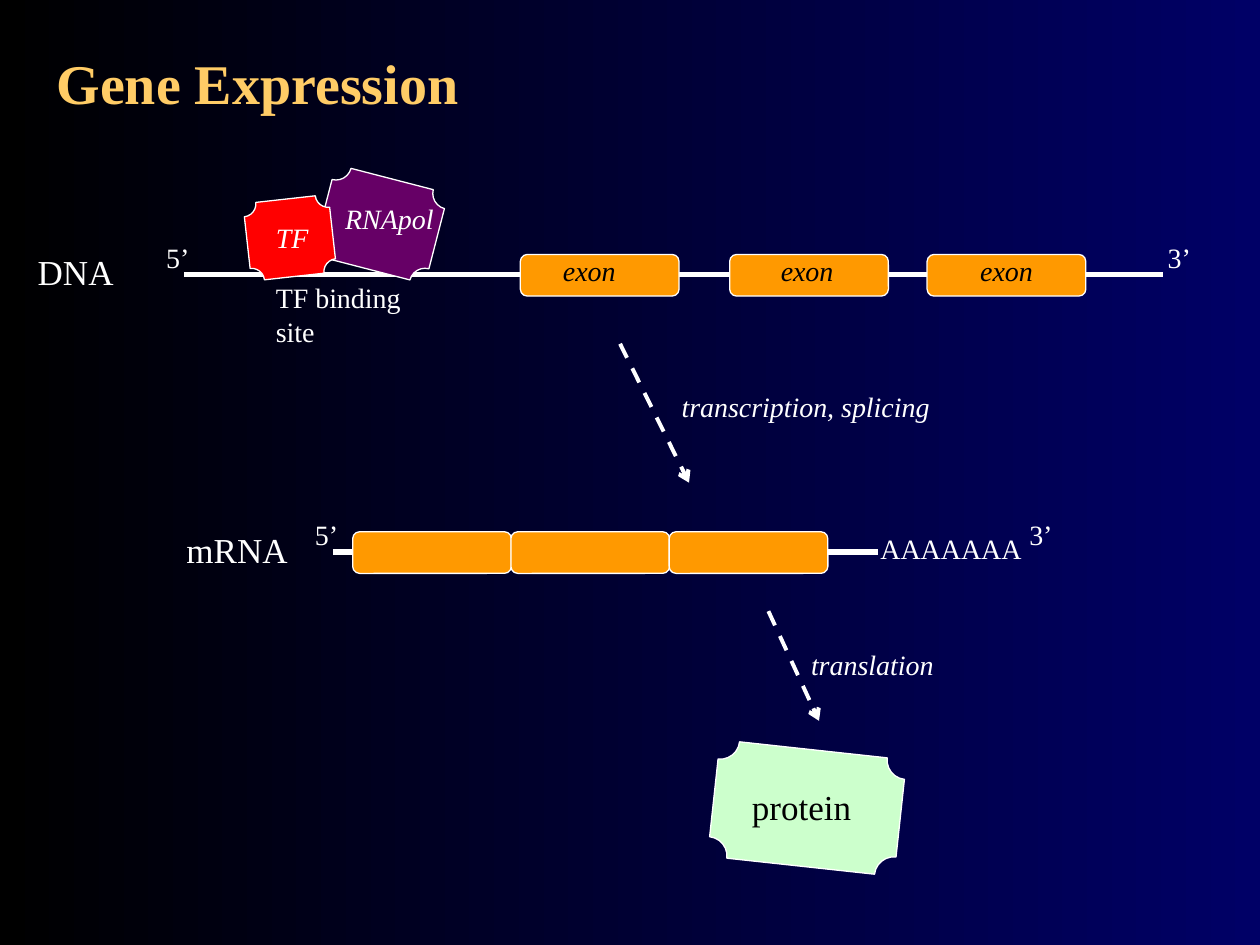
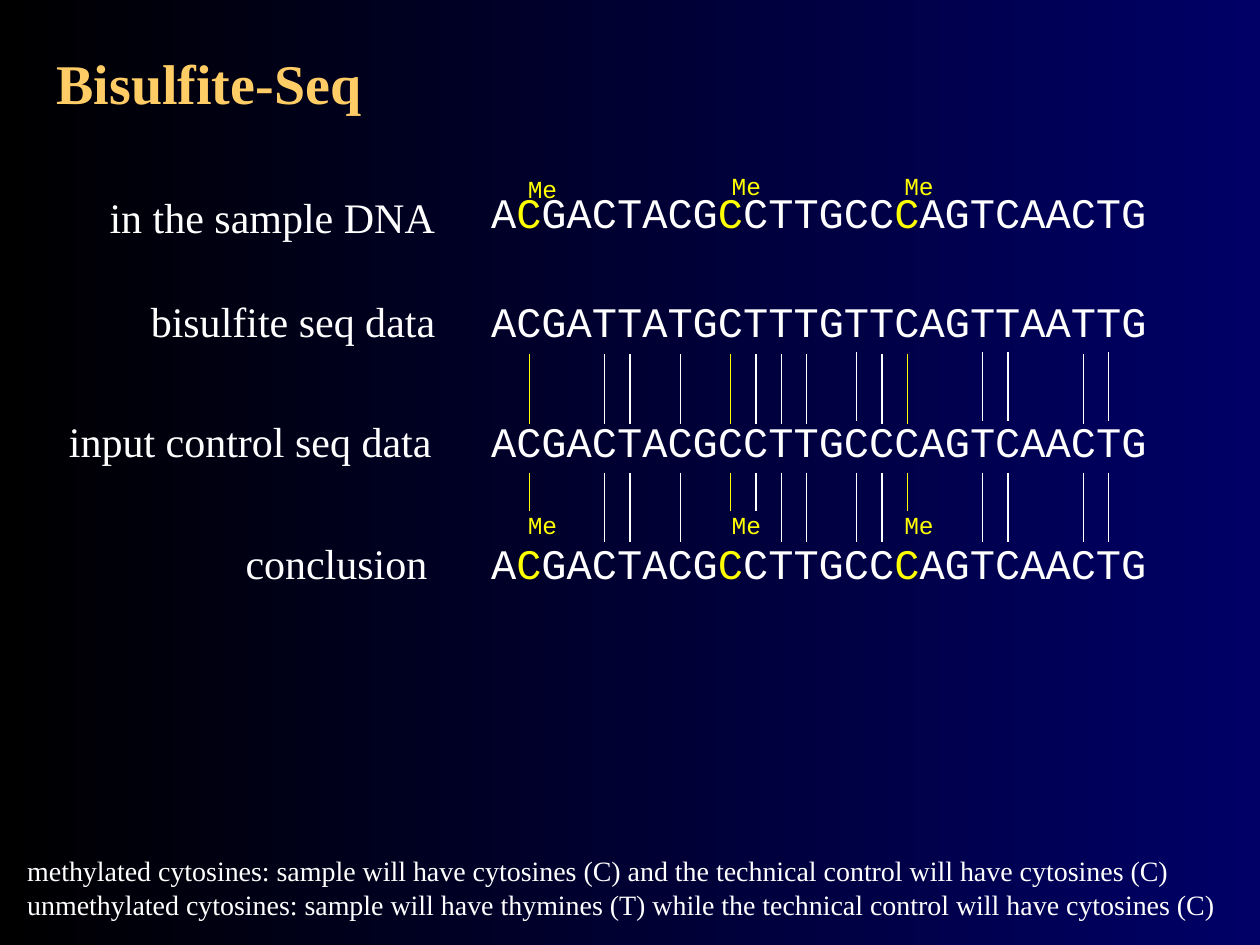
from itertools import groupby

from lxml import etree
from pptx import Presentation
from pptx.dml.color import RGBColor
from pptx.enum.dml import MSO_LINE
from pptx.enum.shapes import MSO_CONNECTOR, MSO_SHAPE
from pptx.enum.text import MSO_ANCHOR, MSO_AUTO_SIZE
from pptx.oxml.ns import qn
from pptx.util import Cm, Pt

STRAIGHT = MSO_CONNECTOR.STRAIGHT
ROUNDED = MSO_SHAPE.ROUNDED_RECTANGLE
PLAQUE = MSO_SHAPE.PLAQUE
DASH = MSO_LINE.DASH
MIDDLE = MSO_ANCHOR.MIDDLE
GROW = MSO_AUTO_SIZE.SHAPE_TO_FIT_TEXT
FIXED = MSO_AUTO_SIZE.NONE

BLACK = RGBColor(0x00, 0x00, 0x00)
WHITE = RGBColor(0xFF, 0xFF, 0xFF)
NAVY = RGBColor(0x00, 0x00, 0x66)
GOLD = RGBColor(0xFF, 0xCC, 0x66)
ORANGE = RGBColor(0xFF, 0x99, 0x00)
PALE_GREEN = RGBColor(0xCC, 0xFF, 0xCC)
PURPLE = RGBColor(0x66, 0x00, 0x66)
RED = RGBColor(0xFF, 0x00, 0x00)
YELLOW = RGBColor(0xFF, 0xFF, 0x00)

SERIF = "Times New Roman"
MONO = "Courier New"
TITLE = {"name": SERIF, "size": Pt(32), "bold": True}
MOLECULE = {"name": SERIF, "size": Pt(20)}
LABEL = {"name": SERIF, "size": Pt(16)}
ITALIC = {**LABEL, "italic": True}
ROW_NAME = {"name": SERIF, "size": Pt(24)}
BASES = {"name": MONO, "size": Pt(24)}
MARK = {"name": MONO, "size": Pt(14)}

EXON_WIDTH, EXON_HEIGHT = 3.2, 0.84

GENOME = "ACGACTACGCCTTGCCCAGTCAACTG"
CONVERTED = "ACGATTATGCTTTGTTCAGTTAATTG"
METHYLATED = (1, 9, 16)
COMPARED = (1, 4, 5, 7, 9, 10, 11, 12, 14, 15, 16, 19, 20, 23, 24)
RAISED = (14, 19, 20, 24)
SHORT = METHYLATED + (10,)
FIRST_BASE, BASE_PITCH = 10.16, 0.508


def add_text(slide, paragraphs, style, left, top, width, height,
             wrap=True, auto_size=GROW, anchor=None):
    """Add a text box whose paragraphs are lists of (text, colour) runs."""
    box = slide.shapes.add_textbox(Cm(left), Cm(top), Cm(width), Cm(height))
    frame = box.text_frame
    layout = {"word_wrap": wrap, "auto_size": auto_size, "vertical_anchor": anchor}
    for key, value in layout.items():
        setattr(frame, key, value)
    for number, runs in enumerate(paragraphs):
        paragraph = frame.add_paragraph() if number else frame.paragraphs[0]
        for text, color in runs:
            run = paragraph.add_run()
            run.text = text
            run.font.color.rgb = color
            for key, value in style.items():
                setattr(run.font, key, value)


def add_label(slide, text, style, left, top, width=3.4, color=WHITE, wrap=True):
    """Add a one-colour label sized for a single line."""
    height = style["size"].pt * 0.042 + 0.26
    add_text(slide, [[(text, color)]], style, left, top, width, height, wrap)


def add_body(slide, preset, color, left, top, width, height, rotation=0):
    """Add a filled shape with a thin white outline."""
    body = slide.shapes.add_shape(preset, Cm(left), Cm(top), Cm(width), Cm(height))
    body.shadow.inherit = False
    body.rotation = rotation
    body.fill.solid()
    body.fill.fore_color.rgb = color
    body.line.color.rgb = WHITE
    body.line.width = Pt(0.75)


def add_line(slide, start, end, color=WHITE, width=0.75):
    """Add a straight line without a shadow and return it."""
    line = slide.shapes.add_connector(STRAIGHT, *map(Cm, start + end))
    line.line.color.rgb = color
    line.line.width = Pt(width)
    etree.SubElement(line._element.spPr, qn("a:effectLst"))
    return line


def add_step_arrow(slide, start, end):
    """Add a dashed arrow from one molecule to the next."""
    arrow = add_line(slide, start, end, width=2.25)
    arrow.line.dash_style = DASH
    etree.SubElement(arrow.line._get_or_add_ln(), qn("a:tailEnd"), type="arrow")


def add_exon(slide, left, top):
    """Add one exon block."""
    add_body(slide, ROUNDED, ORANGE, left, top, EXON_WIDTH, EXON_HEIGHT)


def add_sequence(slide, bases, top, highlighted=()):
    """Add a row of bases with the highlighted positions in yellow."""
    runs = []
    for marked, group in groupby(enumerate(bases), lambda item: item[0] in highlighted):
        runs.append(("".join(base for _, base in group), YELLOW if marked else WHITE))
    add_text(slide, [runs], BASES, 9.65, top, 13.84, 1.27, wrap=False)


def add_ticks(slide, top, length, raised=(), short=()):
    """Add a line under every compared base."""
    for base in COMPARED:
        x = FIRST_BASE + BASE_PITCH * base
        start = top - 0.05 if base in raised else top
        end = top + 0.78 if base in short else start + length
        add_line(slide, (x, start), (x, end), YELLOW if base in METHYLATED else WHITE)


def new_slide(deck, title):
    """Add a blank slide with the shared background and title."""
    slide = deck.slides.add_slide(deck.slide_layouts[6])
    fill = slide.background.fill
    fill.gradient()
    fill.gradient_angle = 0
    for stop, color in zip(fill.gradient_stops, (BLACK, NAVY)):
        stop.color.rgb = color
    add_text(slide, [[(title, GOLD)]], TITLE, 0.89, -0.48, 23.8, 4.27,
             auto_size=FIXED, anchor=MIDDLE)
    return slide


def build_gene_expression(deck):
    """Draw the way from DNA through mRNA to protein."""
    slide = new_slide(deck, "Gene Expression")
    add_label(slide, "DNA", MOLECULE, 0.51, 4.93)
    add_label(slide, "mRNA", MOLECULE, 3.51, 10.52)
    add_line(slide, (3.71, 5.54), (23.44, 5.54), width=3)
    add_line(slide, (6.71, 11.13), (17.7, 11.13), width=3)
    add_label(slide, "AAAAAAA", LABEL, 17.5, 10.59, 5.79)

    for exon_left, name_left in ((10.49, 11.1), (14.71, 15.49), (18.69, 19.51)):
        add_exon(slide, exon_left, 5.13)
        add_label(slide, "exon", ITALIC, name_left, 4.98, color=BLACK)
    for number in range(3):
        add_exon(slide, 7.11 + number * 3.19, 10.72)

    add_body(slide, PLAQUE, PALE_GREEN, 14.38, 15.11, 3.78, 2.36, 6.2)
    add_label(slide, "protein", MOLECULE, 14.91, 15.72, color=BLACK)

    for strand_end, left, top in (("5’", 3.1, 4.72), ("3’", 23.29, 4.72),
                                  ("5’", 6.1, 10.31), ("3’", 20.5, 10.31)):
        add_label(slide, strand_end, LABEL, left, top, 1.19)

    add_body(slide, PLAQUE, PURPLE, 6.5, 3.58, 2.34, 1.88, 14.5)
    add_text(slide, [[("TF binding site", WHITE)]], LABEL, 5.31, 5.54, 3.2, 1.63)
    add_body(slide, PLAQUE, RED, 4.98, 4.01, 1.73, 1.57, 353.6)
    add_label(slide, "TF", ITALIC, 5.31, 4.32)
    add_label(slide, "RNApol", ITALIC, 6.71, 3.94)

    add_step_arrow(slide, (12.5, 6.93), (13.89, 9.73))
    add_step_arrow(slide, (15.49, 12.32), (16.51, 14.53))
    add_label(slide, "translation", ITALIC, 16.1, 12.93, 5.79)
    add_label(slide, "transcription, splicing", ITALIC, 13.49, 7.72, 5.79)


def build_bisulfite_seq(deck):
    """Compare the sequences read with and without bisulfite."""
    slide = new_slide(deck, "Bisulfite-Seq")
    add_sequence(slide, GENOME, 3.63, METHYLATED)
    add_sequence(slide, CONVERTED, 5.84)
    add_sequence(slide, GENOME, 8.26)
    add_sequence(slide, GENOME, 10.72, METHYLATED)

    for left, sample_top in ((10.39, 3.38), (14.5, 3.33), (17.98, 3.33)):
        for top in (sample_top, 10.16):
            add_label(slide, "Me", MARK, left, top, 1.12, YELLOW, wrap=False)

    for name, left, top, width in (("in the sample DNA", 1.96, 3.73, 7.14),
                                   ("bisulfite seq data", 2.79, 5.84, 6.43),
                                   ("input control seq data", 1.14, 8.26, 7.95),
                                   ("conclusion", 4.7, 10.72, 4.22)):
        add_label(slide, name, ROW_NAME, left, top, width, wrap=False)

    add_ticks(slide, 7.14, 1.4, raised=RAISED)
    add_ticks(slide, 9.53, 1.4, short=SHORT)

    rules = (
        "methylated cytosines: sample will have cytosines (C) "
        "and the technical control will have cytosines (C)",
        "unmethylated cytosines: sample will have thymines (T) "
        "while the technical control will have cytosines (C)",
    )
    add_text(slide, [[(rule, WHITE)] for rule in rules], LABEL, 0.3, 17.09, 25.1, 1.63)


def main():
    """Build and save both slides."""
    deck = Presentation()
    deck.slide_width, deck.slide_height = Cm(25.4), Cm(19.05)
    build_gene_expression(deck)
    build_bisulfite_seq(deck)
    deck.save("out.pptx")


if __name__ == "__main__":
    main()
